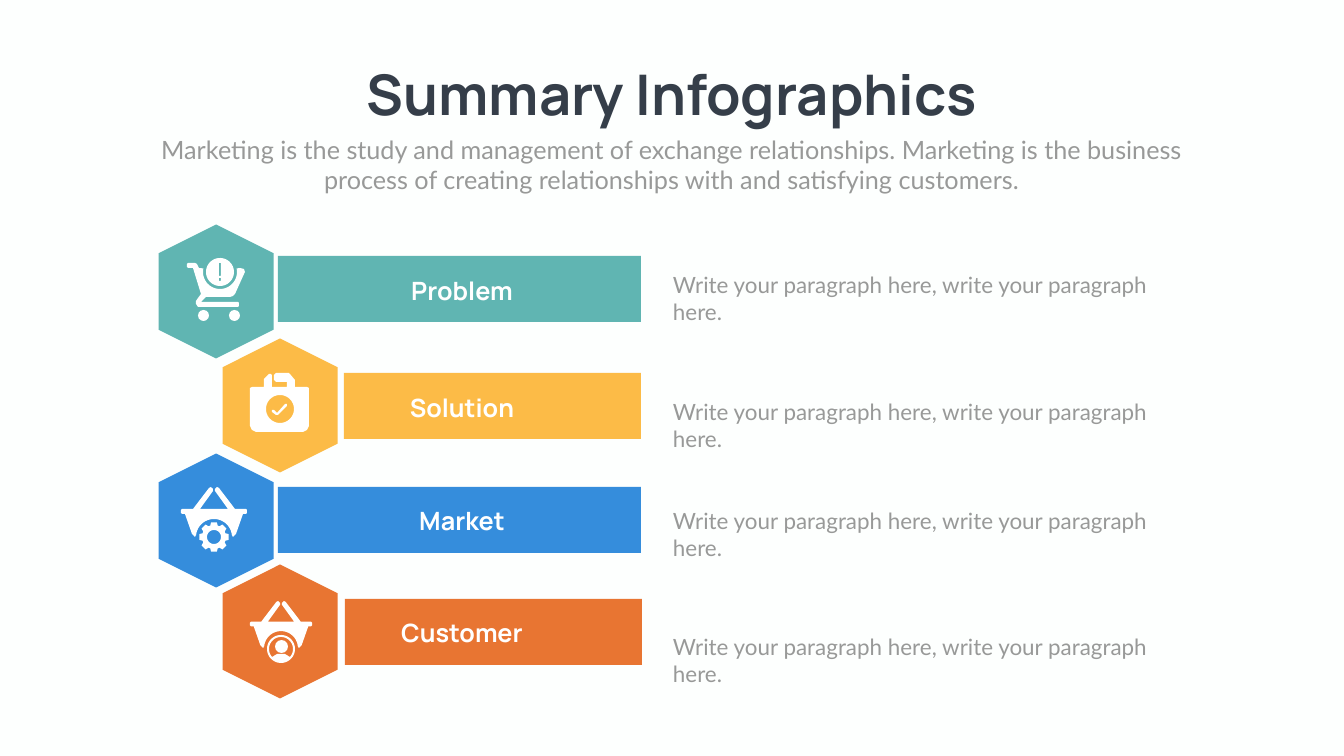
"""Build the Summary Infographics slide with four hexagon rows."""
from math import cos, radians, sin

from pptx import Presentation
from pptx.dml.color import RGBColor
from pptx.enum.shapes import MSO_SHAPE
from pptx.enum.text import MSO_AUTO_SIZE, PP_ALIGN
from pptx.util import Pt

RECT, HEXAGON, OVAL = MSO_SHAPE.RECTANGLE, MSO_SHAPE.HEXAGON, MSO_SHAPE.OVAL
LEFT, CENTER = PP_ALIGN.LEFT, PP_ALIGN.CENTER
GROW = MSO_AUTO_SIZE.SHAPE_TO_FIT_TEXT
PX = 914400 / 50.4

THEME = {
    "bg": "FDFFFE", "dark": "353E49", "grey": "989998", "white": "FFFFFF",
    "teal": "60B5B2", "yellow": "FCBB47", "blue": "358DDC", "orange": "E87532",
    "head": "Manrope", "body": "Lato",
    "title": 80, "subtitle": 36, "label": 36, "note": 32,
}

TITLE = "Summary Infographics"
SUBTITLE = ("Marketing is the study and management of exchange relationships. "
            "Marketing is the business process of creating relationships "
            "with and satisfying customers.")
NOTE = "Write your paragraph here, write your paragraph here."

ROWS = [
    {"label": "Problem", "color": "teal", "hexagon": (149, 234),
     "bar": (278, 256, 363, 66), "label_y": 273, "note_y": 269},
    {"label": "Solution", "color": "yellow", "hexagon": (213, 348),
     "bar": (344, 373, 297, 66), "label_y": 390, "note_y": 396},
    {"label": "Market", "color": "blue", "hexagon": (149, 463),
     "bar": (278, 487, 363, 66), "label_y": 503, "note_y": 505},
    {"label": "Customer", "color": "orange", "hexagon": (213, 574),
     "bar": (345, 599, 297, 66), "label_y": 615, "note_y": 631},
]


def arc(cx, cy, r, start=0, end=360):
    steps = max(2, round(abs(end - start) / 8))
    angles = [radians(start + (end - start) * i / steps) for i in range(steps + 1)]
    return [(cx + r * cos(a), cy + r * sin(a)) for a in angles]


def gear(cx, cy, outer, root, teeth=8):
    profile = [(-18, root), (-11, outer), (11, outer), (18, root)]
    return [(cx + r * cos(radians(k * 360 / teeth + a)),
             cy + r * sin(radians(k * 360 / teeth + a)))
            for k in range(teeth) for a, r in profile]


def basket(cx, top, scale=1):
    half = [(14, 22), (1, 4), (1, 2), (3, 0), (5, 1), (21, 22), (32, 22), (33, 23),
            (33, 26), (32, 27), (29, 27), (22, 47), (20, 49), (19, 50), (18, 48)]
    mirrored = [(-x, y) for x, y in reversed(half)]
    outline = half + arc(0, 50, 18, -5, -175) + mirrored
    return [(cx + x * scale, top + y * scale) for x, y in outline]


CART = [(240, 268), *arc(220, 272, 17, -12, 192), (199, 268), (197, 264), (195, 263),
        (188, 263), (187, 264), (187, 267), (188, 268), (193, 268), (201, 294),
        (198, 298), (196, 301), (196, 304), (198, 307), (201, 307), (238, 307),
        (239, 306), (239, 303), (238, 302), (201, 302), (206, 297), (230, 297),
        (233, 296), (235, 294), (244, 274), (245, 272), (244, 269)]
EXCLAMATION = [[(219, 263), (221, 263), (221, 276), (219, 276)],
               [(219, 278), (221, 278), (221, 281), (219, 281)]]
BAG = [(307, 387), (295, 387), (295, 380), (290, 374), (289, 373), (276, 373),
       (274, 375), (274, 380), (276, 382), (287, 382), (287, 387), (272, 387),
       (272, 375), (271, 374), (269, 374), (264, 379), (264, 387), (252, 387),
       (250, 388), (250, 426), (252, 430), (256, 432), (303, 432), (307, 430),
       (309, 426), (309, 388)]
CHECK = [(285, 404), (277, 413), (274, 410), (272, 410), (272, 412), (276, 415),
         (278, 415), (287, 406), (287, 404)]
PERSON_HOLE = arc(281, 649, 12, 42, -222) + [(277, 654), (281, 654), (285, 654)]

ICON_OUTLINES = [
    [CART],
    [arc(220, 272, 14), *EXCLAMATION],
    [BAG, arc(280, 409, 14)],
    [CHECK],
    [basket(214, 487)],
    [gear(214, 537, 15, 12), arc(214, 537, 7)],
    [basket(281, 601, 0.94)],
    [arc(281, 649, 14), PERSON_HOLE],
]
ICON_DOTS = [(198, 310, 11, 11), (229, 310, 11, 11), (275, 640, 13, 13)]


def emu(values):
    return [round(v * PX) for v in values]


def rgb(name):
    return RGBColor.from_string(THEME[name])


def paint(shape, color):
    shape.shadow.inherit = False
    shape.fill.solid()
    shape.fill.fore_color.rgb = rgb(color)
    shape.line.fill.background()
    return shape


def add_shape(s, kind, box, color):
    return paint(s.shapes.add_shape(kind, *emu(box)), color)


def add_outline(s, contours, color):
    first, *rest = [[emu(point) for point in c] for c in contours]
    builder = s.shapes.build_freeform(*first[0])
    builder.add_line_segments(first[1:], close=True)
    for contour in rest:
        builder.move_to(*contour[0])
        builder.add_line_segments(contour[1:], close=True)
    return paint(builder.convert_to_shape(), color)


def add_text(s, text, box, *, size, font, color, bold=False, align=CENTER, wrap=True):
    tf = s.shapes.add_textbox(*emu(box)).text_frame
    tf.word_wrap = wrap
    tf.auto_size = GROW
    p = tf.paragraphs[0]
    p.alignment = align
    r = p.add_run()
    r.text = text
    r.font.size = Pt(THEME[size])
    r.font.name = THEME[font]
    r.font.bold = bold
    r.font.color.rgb = rgb(color)


def main():
    prs = Presentation()
    prs.slide_width, prs.slide_height = emu((1344, 756))
    s = prs.slides.add_slide(prs.slide_layouts[6])
    s.background.fill.solid()
    s.background.fill.fore_color.rgb = rgb("bg")

    add_text(s, TITLE, (330, 57, 684, 73), size="title", font="head",
             color="dark", bold=True, wrap=False)
    add_text(s, SUBTITLE, (147, 132, 1049, 66), size="subtitle", font="body",
             color="grey")
    for row in ROWS:
        hexagon = add_shape(s, HEXAGON, (*row["hexagon"], 134, 115), row["color"])
        hexagon.rotation = 90
        add_shape(s, RECT, row["bar"], row["color"])
        add_text(s, row["label"], (361, row["label_y"], 202, 36), size="label",
                 font="head", color="white", bold=True)
        add_text(s, NOTE, (668, row["note_y"], 535, 32), size="note", font="body",
                 color="grey", align=LEFT)
    for contours in ICON_OUTLINES:
        add_outline(s, contours, "white")
    for box in ICON_DOTS:
        add_shape(s, OVAL, box, "white")
    prs.save("out.pptx")


if __name__ == "__main__":
    main()
